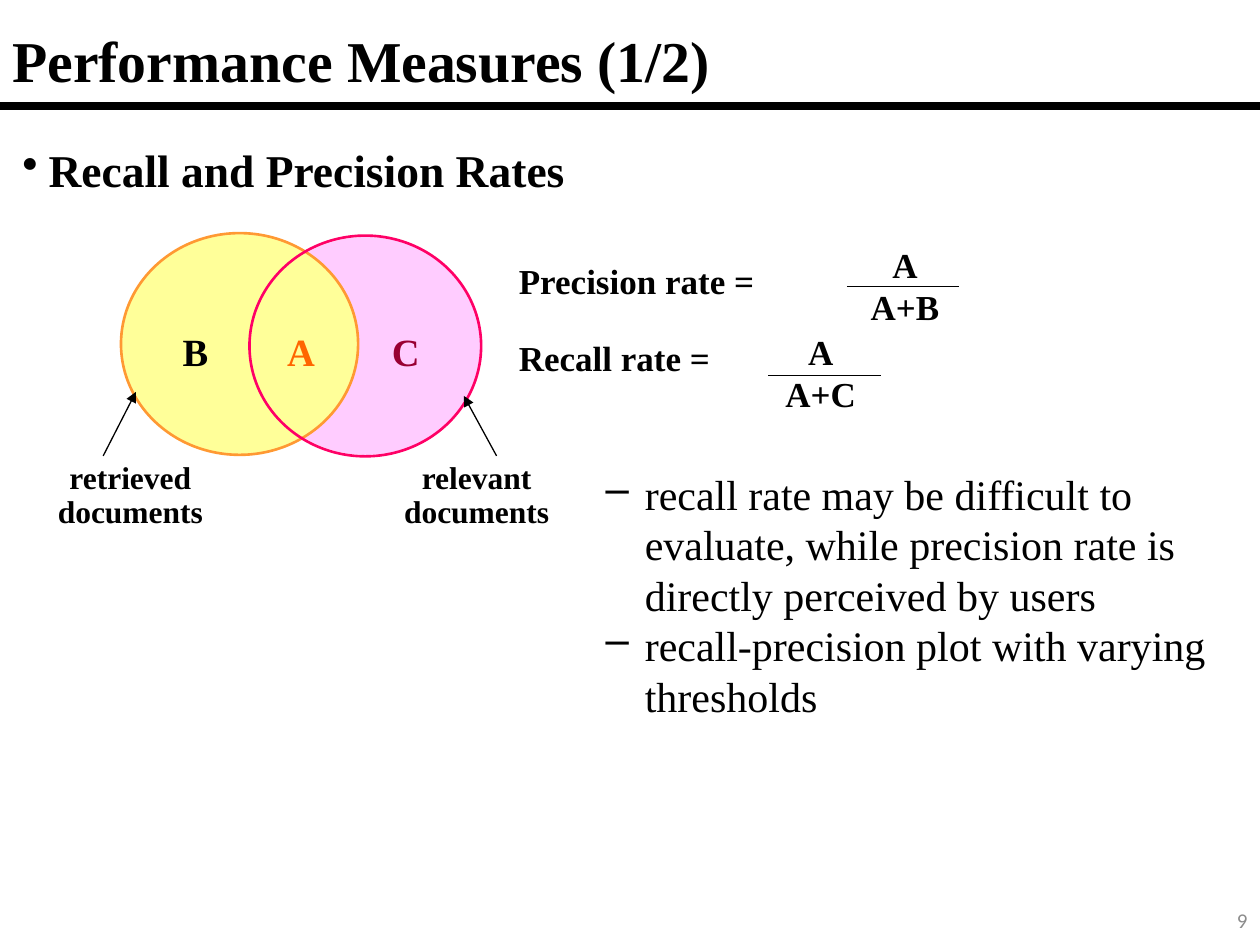
from lxml import etree
from pptx import Presentation
from pptx.dml.color import RGBColor
from pptx.enum.shapes import MSO_CONNECTOR, MSO_SHAPE
from pptx.enum.text import MSO_ANCHOR, PP_ALIGN
from pptx.oxml.ns import qn
from pptx.util import Cm, Pt

STRAIGHT = MSO_CONNECTOR.STRAIGHT
OVAL = MSO_SHAPE.OVAL
TOP, MIDDLE = MSO_ANCHOR.TOP, MSO_ANCHOR.MIDDLE
LEFT, CENTER, RIGHT = PP_ALIGN.LEFT, PP_ALIGN.CENTER, PP_ALIGN.RIGHT

COLORS = {
    "black": "000000",
    "gray": "8C8C8C",
    "yellow": "FFFF99",
    "pink": "FFCCFF",
    "retrieved": "FF9933",
    "relevant": "FF0066",
    "overlap": "FF6600",
    "missed": "990033",
}


def rgb(name):
    return RGBColor.from_string(COLORS[name])


class SlideBuilder:
    font = "Times New Roman"
    leading = 1.2

    def __init__(self, slide):
        self.slide = slide

    def text(self, x, y, w, h, paragraphs, size, bold=True, color="black",
             align=LEFT, anchor=TOP, font=None, spacing=1, before=0):
        """Add a text box and return its text frame; before is in points."""
        tf = self.slide.shapes.add_textbox(Cm(x), Cm(y), Cm(w), Cm(h)).text_frame
        tf.word_wrap = True
        tf.vertical_anchor = anchor
        tf.text = "\n".join(paragraphs)
        for i, p in enumerate(tf.paragraphs):
            p.alignment = align
            p.line_spacing = Pt(size * self.leading * spacing)
            p.space_before = Pt(before if i else 0)
            p.font.name = font or self.font
            p.font.size = Pt(size)
            p.font.bold = bold
            p.font.color.rgb = rgb(color)
        return tf

    def bullets(self, x, y, w, h, paragraphs, size, char, margin, hanging, bold):
        tf = self.text(x, y, w, h, paragraphs, size, bold)
        for p in tf.paragraphs:
            pPr = p._p.get_or_add_pPr()
            pPr.set("marL", str(Cm(margin)))
            pPr.set("indent", str(-Cm(hanging)))
            bullet = etree.Element(qn("a:buChar"), char=char)
            pPr.find(qn("a:defRPr")).addprevious(bullet)

    def tabbed(self, x, y, w, h, labels, size, step):
        """Add (text, colour) labels on one line, with a tab stop every step."""
        tf = self.text(x, y, w, h, [""], size)
        tf.margin_right = 0
        p = tf.paragraphs[0]
        tabs = etree.Element(qn("a:tabLst"))
        for i, (label, color) in enumerate(labels):
            r = p.add_run()
            r.text = f"\t{label}" if i else label
            r.font.color.rgb = rgb(color)
            if i:
                etree.SubElement(tabs, qn("a:tab"), pos=str(Cm(i * step)), algn="l")
        p._p.get_or_add_pPr().find(qn("a:defRPr")).addprevious(tabs)

    def ellipse(self, x, y, w, h, fill=None, line=None):
        sp = self.slide.shapes.add_shape(OVAL, Cm(x), Cm(y), Cm(w), Cm(h))
        sp.shadow.inherit = False
        if fill:
            sp.fill.solid()
            sp.fill.fore_color.rgb = rgb(fill)
        else:
            sp.fill.background()
        if line:
            sp.line.color.rgb = rgb(line)
            sp.line.width = Pt(1.5)
        else:
            sp.line.fill.background()

    def line(self, x1, y1, x2, y2, width=0.75, arrow=False):
        line = self.slide.shapes.add_connector(
            STRAIGHT, Cm(x1), Cm(y1), Cm(x2), Cm(y2))
        line.line.color.rgb = rgb("black")
        line.line.width = Pt(width)
        if arrow:
            etree.SubElement(line.line._get_or_add_ln(), qn("a:tailEnd"), type="triangle")
        etree.SubElement(line._element.spPr, qn("a:effectLst"))

    def fraction(self, x, y, top, bottom, bar_x, bar_y):
        self.line(bar_x, bar_y, bar_x + 2.26, bar_y)
        self.text(x, y, 2.51, 1.96, [f"{top}\v{bottom}"], 20, align=CENTER)


def main():
    prs = Presentation()
    prs.slide_width, prs.slide_height = Cm(25.4), Cm(19.05)
    s = SlideBuilder(prs.slides.add_slide(prs.slide_layouts[6]))

    s.text(0, 0.2, 25.4, 2, ["Performance Measures (1/2)"], 33, anchor=MIDDLE)
    s.line(0, 2.13, 25.4, 2.13, width=4.5)
    s.bullets(0.2, 2.74, 25.2, 13.74, ["Recall and Precision Rates"], 26,
              "•", 0.53, 0.53, bold=True)

    # Venn diagram
    s.ellipse(5.05, 4.78, 4.67, 4.39, fill="pink")
    s.ellipse(2.44, 4.7, 4.78, 4.47, fill="yellow", line="retrieved")
    s.ellipse(5.03, 4.75, 4.67, 4.45, line="relevant")
    s.tabbed(3.43, 6.48, 5.31, 1.19,
             [("B", "black"), ("A", "overlap"), ("C", "missed")], 22, step=2.11)
    s.line(2.08, 9.19, 2.74, 7.9, arrow=True)
    s.line(10.01, 9.19, 9.35, 7.98, arrow=True)
    for x, caption in ((0.89, "retrieved documents"), (7.87, "relevant documents")):
        s.text(x, 9.19, 3.48, 1.63, [caption], 18, align=CENTER, spacing=0.9)

    # Formulas
    s.text(10.21, 5.11, 8.15, 4.42, ["Precision rate =", "Recall rate ="], 20, before=20)
    s.fraction(16.99, 4.78, "A", "A+B", bar_x=17.07, bar_y=5.77)
    s.fraction(15.29, 6.53, "A", "A+C", bar_x=15.49, bar_y=7.57)

    s.bullets(10.9, 9.32, 14.17, 5.99, [
        "recall rate may be difficult to evaluate, while precision rate is "
        "directly perceived by users",
        "recall-precision plot with varying thresholds",
    ], 24, "–", 1.85, 0.79, bold=False)

    s.text(19.69, 18.03, 5.71, 1.02, ["9"], 12, bold=False, color="gray",
           align=RIGHT, anchor=MIDDLE, font="Calibri")
    prs.save("out.pptx")


if __name__ == "__main__":
    main()
